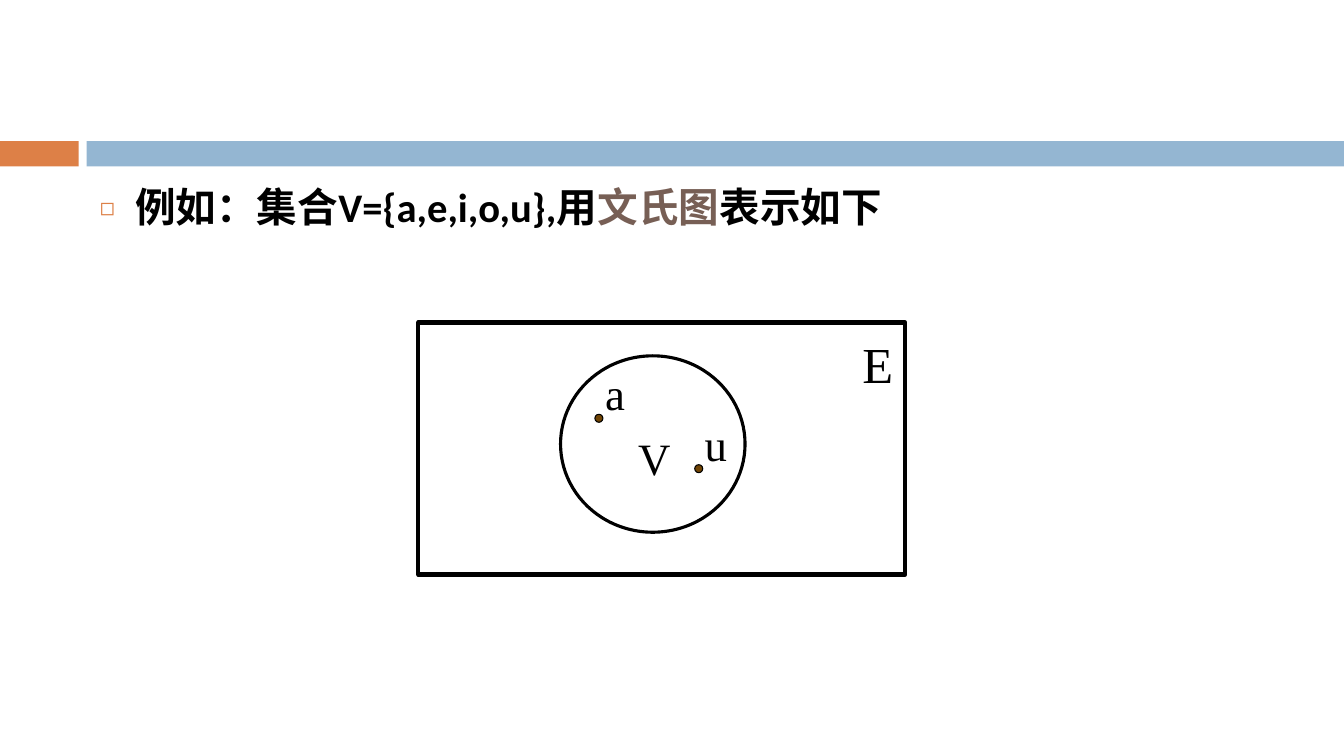
from lxml import etree
from pptx import Presentation
from pptx.dml.color import RGBColor
from pptx.enum.shapes import MSO_SHAPE
from pptx.enum.text import MSO_ANCHOR, MSO_AUTO_SIZE, PP_ALIGN
from pptx.oxml.ns import qn
from pptx.util import Inches, Pt

RECT, OVAL = MSO_SHAPE.RECTANGLE, MSO_SHAPE.OVAL
TOP, LEFT, CENTER = MSO_ANCHOR.TOP, PP_ALIGN.LEFT, PP_ALIGN.CENTER
NO_FIT = MSO_AUTO_SIZE.NONE
BLACK = RGBColor(0, 0, 0)
ORANGE = RGBColor(0xDD, 0x80, 0x47)
BLUE = RGBColor(0x94, 0xB6, 0xD2)
BROWN = RGBColor(0x77, 0x5F, 0x55)
DOT = RGBColor(0x70, 0x44, 0x04)
HAN, LATIN, SERIF = "Noto Sans CJK SC", "Calibri", "Times New Roman"

WIDE, HIGH = 13.33, 7.5
BAND_Y, BAND_H, TAB_W, GAP = 1.4, 0.25, 0.78, 0.08
BODY = (0.89, 1.75, 11.89, 4.92)
HEAD = [
    ("例如：集合", HAN, BLACK),
    ("V={a,e,i,o,u},用", LATIN, BLACK),
    ("文氏图", LATIN, BROWN),
    ("表示如下", LATIN, BLACK),
]
OUTLINES = [
    (RECT, (4.15, 3.2, 4.83, 2.5), 3),
    (OVAL, (5.56, 3.53, 1.83, 1.75), 2.25),
]
SETS = [("E", (8.45, 3.2, 0.51, 0.7), 36), ("V", (6.23, 4.17, 0.52, 0.63), 32)]
POINTS = [("a", 5.9, 4.11, 0.4), ("u", 6.89, 4.61, 0.42)]
DOT_D, NAME_H, NAME_UP = 0.08, 0.63, 0.58


def put(obj, **vals):
    for key, val in vals.items():
        setattr(obj, key, val)


def inch(box):
    return [Inches(n) for n in box]


def draw(shapes, kind, box, fill=None, line=0):
    shape = shapes.add_shape(kind, *inch(box))
    shape.shadow.inherit = False
    if fill is None:
        shape.fill.background()
    else:
        shape.fill.solid()
        shape.fill.fore_color.rgb = fill
    if line:
        shape.line.color.rgb = BLACK
        shape.line.width = Pt(line)
    else:
        shape.line.fill.background()


def write(par, text, font, size, color, bold=False):
    run = par.add_run()
    run.text = text
    put(run.font, name=font, size=Pt(size), bold=bold)
    run.font.color.rgb = color
    return run


def label(shapes, text, box, size):
    frame = shapes.add_textbox(*inch(box)).text_frame
    put(frame, word_wrap=False, vertical_anchor=TOP, margin_top=Inches(0.1), margin_bottom=0)
    par = frame.paragraphs[0]
    par.alignment = CENTER
    write(par, text, SERIF, size, BLACK)


def bullet(par, char, color, share, indent):
    props = par._p.get_or_add_pPr()
    props.set("marL", str(Inches(indent)))
    props.set("indent", str(-Inches(indent)))
    tint = etree.SubElement(props, qn("a:buClr"))
    etree.SubElement(tint, qn("a:srgbClr"), val=str(color))
    etree.SubElement(props, qn("a:buSzPct"), val=str(share * 1000))
    etree.SubElement(props, qn("a:buFont"), typeface=HAN)
    etree.SubElement(props, qn("a:buChar"), char=char)


def main():
    deck = Presentation()
    put(deck, slide_width=Inches(WIDE), slide_height=Inches(HIGH))
    slide = deck.slides.add_slide(deck.slide_layouts[1])
    title, body = slide.placeholders
    title.element.getparent().remove(title.element)

    start = TAB_W + GAP
    for x, width, color in [(0, TAB_W, ORANGE), (start, WIDE - start, BLUE)]:
        draw(slide.shapes, RECT, (x, BAND_Y, width, BAND_H), color)

    put(body, **dict(zip(("left", "top", "width", "height"), inch(BODY))))
    put(body.text_frame, word_wrap=True, auto_size=NO_FIT, vertical_anchor=TOP)
    par = body.text_frame.paragraphs[0]
    put(par, alignment=LEFT, space_before=Pt(7))
    bullet(par, "◻", ORANGE, 60, 0.35)
    for text, font, color in HEAD:
        run = write(par, text, font, 29, color, True)
        latin = run.font._element.find(qn("a:latin"))
        latin.addnext(etree.Element(qn("a:ea"), typeface=HAN))

    venn = slide.shapes.add_group_shape().shapes
    for kind, box, line in OUTLINES:
        draw(venn, kind, box, line=line)
    for text, box, size in SETS:
        label(venn, text, box, size)
    for text, x, y, width in POINTS:
        draw(venn, OVAL, (x, y, DOT_D, DOT_D), DOT, 0.75)
        label(venn, text, (x, y - NAME_UP, width, NAME_H), 32)

    deck.save("out.pptx")


if __name__ == "__main__":
    main()
